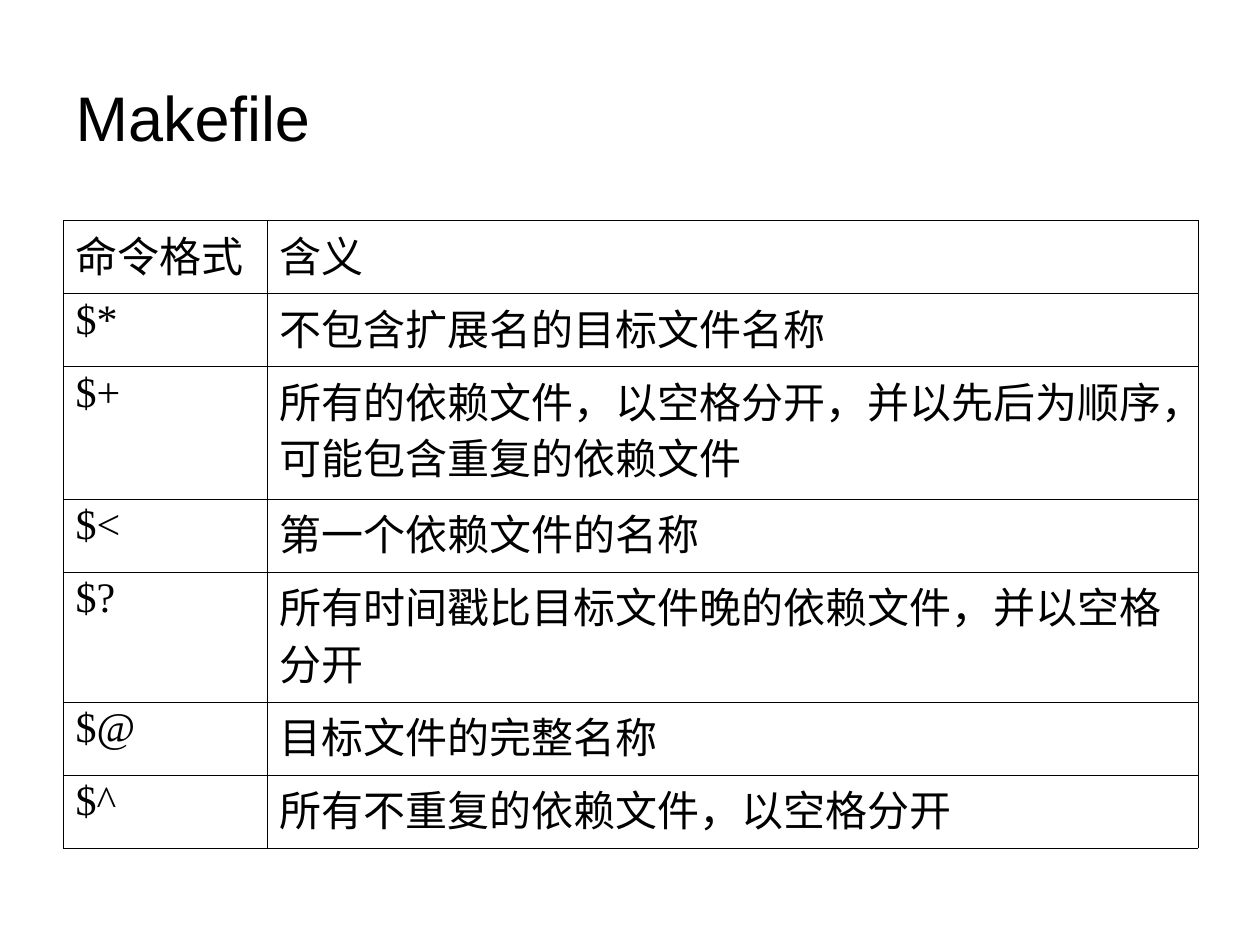
from pptx import Presentation
from pptx.dml.color import RGBColor
from pptx.enum.text import MSO_ANCHOR, PP_ALIGN
from pptx.oxml.ns import qn
from pptx.util import Inches, Pt
from lxml import etree

LEFT = PP_ALIGN.LEFT
MIDDLE = MSO_ANCHOR.MIDDLE
TOP = MSO_ANCHOR.TOP
TITLE_ONLY = 5
BLACK = "000000"
WHITE = "FFFFFF"
BORDER_POINTS = 0.23
COLUMN_WIDTHS = (1.62, 7.39)
ROWS = (
    (0.58, "命令格式", "含义"),
    (0.58, "$*", "不包含扩展名的目标文件名称"),
    (1.05, "$+", "所有的依赖文件，以空格分开，并以先后为顺序，可能包含重复的依赖文件"),
    (0.58, "$<", "第一个依赖文件的名称"),
    (1.03, "$?", "所有时间戳比目标文件晚的依赖文件，并以空格分开"),
    (0.58, "$@", "目标文件的完整名称"),
    (0.58, "$^", "所有不重复的依赖文件，以空格分开"),
)


def color(value):
    """Return the colour of a hex string."""
    return RGBColor.from_string(value)


def write_text(text_frame, text, *, size, font, spacing=1.0):
    """Write one left-aligned black paragraph into a text frame."""
    text_frame.word_wrap = True
    paragraph = text_frame.paragraphs[0]
    paragraph.alignment = LEFT
    paragraph.line_spacing = spacing
    run = paragraph.add_run()
    run.text = text
    run.font.size = Pt(size)
    run.font.name = font
    run.font.color.rgb = color(BLACK)


def add_borders(cell):
    """Draw a thin black line on each side of a cell."""
    properties = cell._tc.get_or_add_tcPr()
    for side in ("a:lnL", "a:lnR", "a:lnT", "a:lnB"):
        line = etree.SubElement(properties, qn(side), w=str(Pt(BORDER_POINTS)))
        fill = etree.SubElement(line, qn("a:solidFill"))
        etree.SubElement(fill, qn("a:srgbClr"), val=BLACK)


def add_title(slide, text):
    """Place and fill the title placeholder."""
    title = slide.shapes.title
    title.left, title.top = Inches(0.5), Inches(0.3)
    title.width, title.height = Inches(9), Inches(1.25)
    title.text_frame.vertical_anchor = MIDDLE
    write_text(title.text_frame, text, size=36, font="Arial")


def add_command_table(slide):
    """Add the table of automatic variables and their meanings."""
    height = sum(row[0] for row in ROWS)
    table = slide.shapes.add_table(
        len(ROWS), len(COLUMN_WIDTHS), Inches(0.5), Inches(1.75),
        Inches(sum(COLUMN_WIDTHS)), Inches(height),
    ).table
    table.first_row = False
    table.horz_banding = False
    for column, width in zip(table.columns, COLUMN_WIDTHS):
        column.width = Inches(width)
    for row, (row_height, *texts) in zip(table.rows, ROWS):
        row.height = Inches(row_height)
        for cell, text in zip(row.cells, texts):
            add_borders(cell)
            cell.fill.solid()
            cell.fill.fore_color.rgb = color(WHITE)
            cell.vertical_anchor = TOP
            write_text(cell.text_frame, text, size=24,
                       font="Times New Roman", spacing=0.93)


def main():
    """Build and save the slide."""
    presentation = Presentation()
    presentation.slide_width = Inches(10)
    presentation.slide_height = Inches(7.5)
    slide = presentation.slides.add_slide(presentation.slide_layouts[TITLE_ONLY])
    add_title(slide, "Makefile")
    add_command_table(slide)
    presentation.save("out.pptx")


if __name__ == "__main__":
    main()
